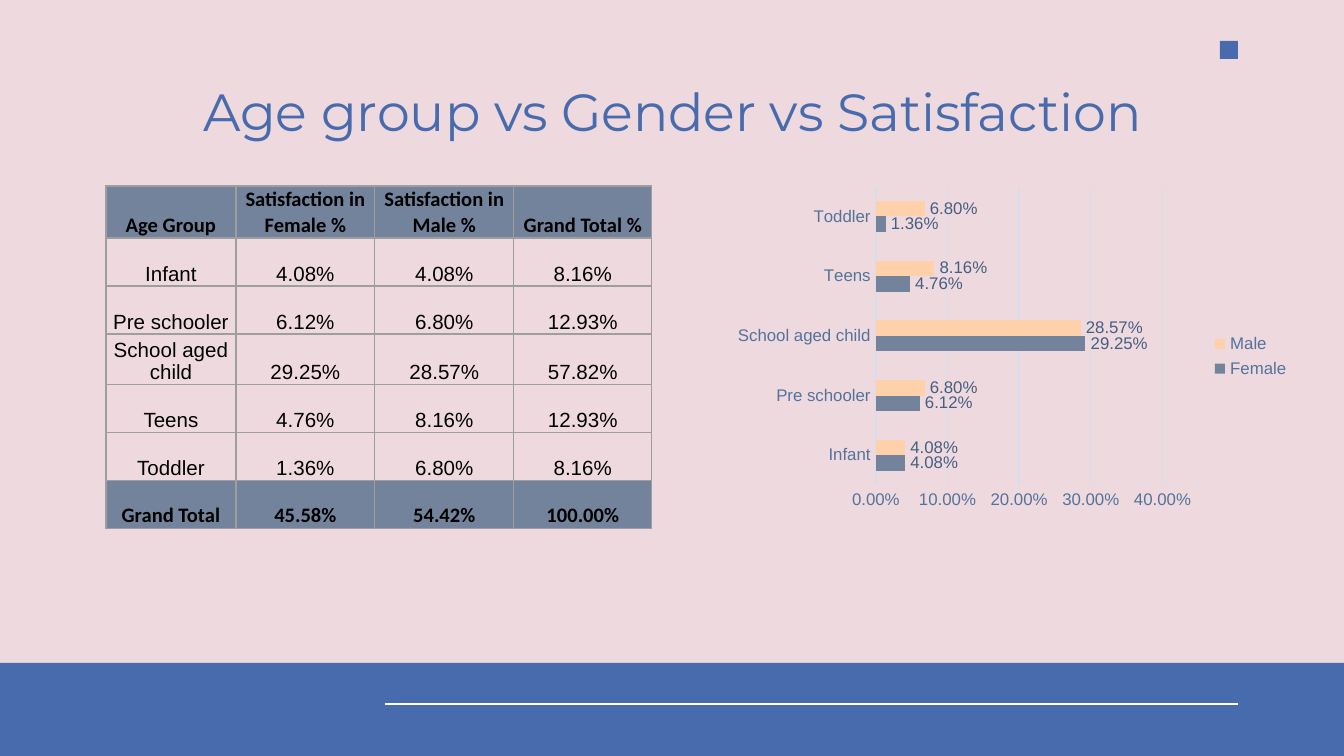
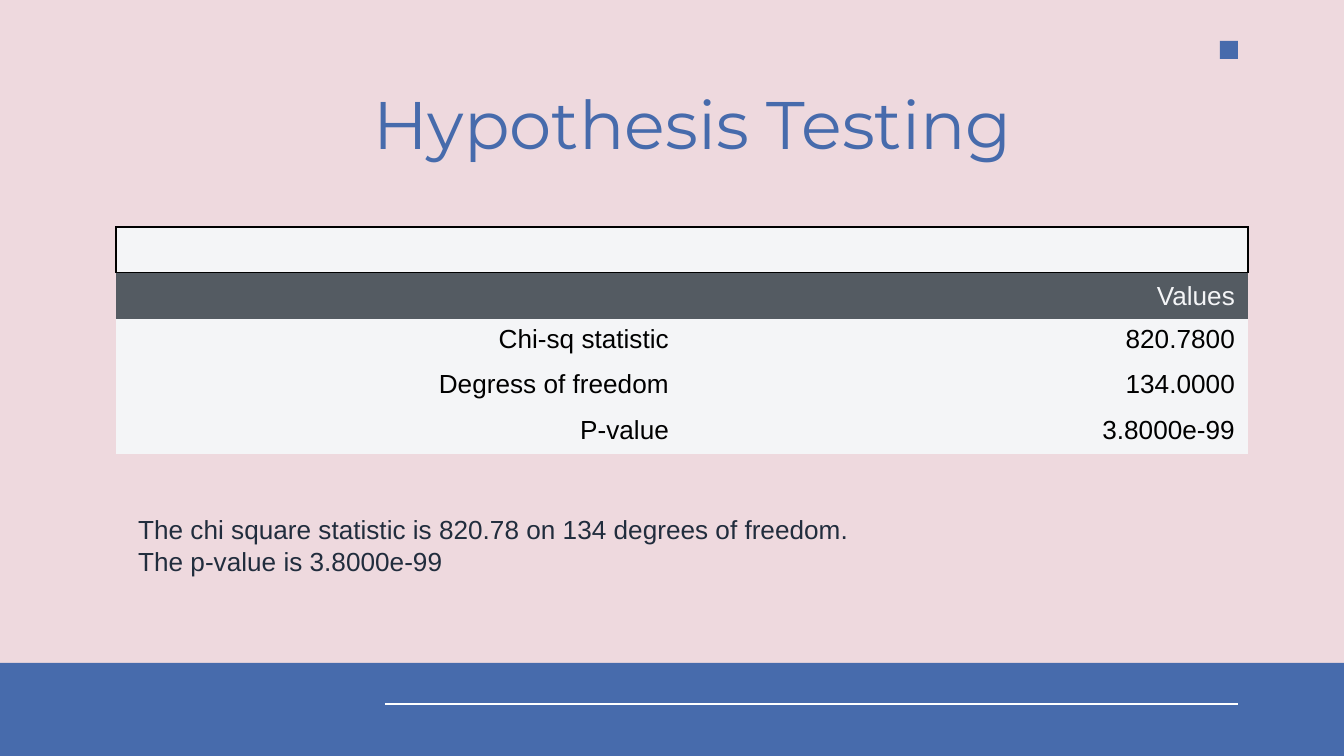
import pptx
import pptx.util
import pptx.chart.data
import pptx.dml.color
import pptx.enum.chart
import pptx.enum.shapes
import pptx.enum.text
import pptx.oxml
import pptx.oxml.ns
from lxml import etree

PX = 914400 / 134.4
COLORS = {
    "background": "EED9DE", "brand": "476BAC", "white": "FFFFFF", "black": "000000",
    "slate": "72839B", "peach": "FFD1AB", "cell_line": "9E9E9E", "grid": "D7DEE9",
    "axis": "54739B", "label": "465F80", "ink": "212D3D", "dark": "545B62", "pale": "F4F5F7",
}
COLOR = {name: pptx.dml.color.RGBColor.from_string(value) for name, value in COLORS.items()}
PLAIN_TABLE = "{2D5ABB26-0587-4C30-8999-92F81FD0307C}"
ALIGN = pptx.enum.text.PP_ALIGN
ANCHOR = pptx.enum.text.MSO_ANCHOR
RECTANGLE = pptx.enum.shapes.MSO_SHAPE.RECTANGLE
STRAIGHT = pptx.enum.shapes.MSO_CONNECTOR.STRAIGHT
NAMESPACE = pptx.oxml.ns.nsdecls("a")


def px(*lengths):
    return [round(length * PX) for length in lengths]


def write(paragraph, text, font, size, color, align=ALIGN.LEFT, bold=False):
    """Put text in a paragraph and set its font and alignment."""
    paragraph.text = text
    paragraph.alignment = align
    paragraph.font.name = font
    paragraph.font.size = pptx.util.Pt(size)
    paragraph.font.bold = bold
    paragraph.font.color.rgb = COLOR[color]
    if not text:
        paragraph._p.get_or_add_endParaRPr().set("sz", str(size * 100))


presentation = pptx.Presentation()
presentation.slide_width, presentation.slide_height = px(1344, 756)

# Shared background, bands and titles
slides = []
for title, size, box in [
    ("Age group vs Gender vs Satisfaction", 28, (106, 66, 1133, 84)),
    ("Hypothesis Testing", 36, (231, 69, 923, 103)),
]:
    slide = presentation.slides.add_slide(presentation.slide_layouts[6])
    slides.append(slide)
    slide.background.fill.solid()
    slide.background.fill.fore_color.rgb = COLOR["background"]
    for band in [(1220, 41, 18, 18), (0, 663, 1344, 93)]:
        shape = slide.shapes.add_shape(RECTANGLE, *px(*band))
        shape.shadow.inherit = False
        shape.fill.solid()
        shape.fill.fore_color.rgb = COLOR["brand"]
        shape.line.fill.background()
    footer_line = slide.shapes.add_connector(STRAIGHT, *px(385, 704, 1238, 704))
    footer_line.line.color.rgb = COLOR["white"]
    footer_line.line.width = pptx.util.Pt(0.75)
    etree.SubElement(footer_line._element.spPr, pptx.oxml.ns.qn("a:effectLst"))

    text_frame = slide.shapes.add_textbox(*px(*box)).text_frame
    text_frame.word_wrap = True
    text_frame.margin_left, text_frame.margin_right = px(13, 13)
    text_frame.margin_top, text_frame.margin_bottom = px(13, 13)
    write(text_frame.paragraphs[0], title, "Montserrat", size, "brand", ALIGN.CENTER)

satisfaction_slide, hypothesis_slide = slides

# Tables: a cell style is font, bold, text colour, fill, anchor and borders (side, colour, points)
grid = [(side, "cell_line", 0.75) for side in "LRTB"]
total_style = ("Calibri", True, "black", "slate", ANCHOR.BOTTOM, grid)
age_style = ("Arial", False, "black", None, ANCHOR.BOTTOM, grid)
frame = [("L", "black", 1), ("R", "black", 1), ("T", "black", 0.75), ("B", "black", 0.75)]
blank_style = ("Arial", False, "black", "pale", ANCHOR.TOP, frame)
header_style = ("Arial", False, "pale", "dark", ANCHOR.BOTTOM, [("B", "dark", 1.2)])
value_style = ("Arial", False, "black", "pale", ANCHOR.TOP, [])

satisfaction_rows = [
    ["Age Group", "Satisfaction in Female %", "Satisfaction in Male %", "Grand Total %"],
    ["Infant", "4.08%", "4.08%", "8.16%"],
    ["Pre schooler", "6.12%", "6.80%", "12.93%"],
    ["School aged child", "29.25%", "28.57%", "57.82%"],
    ["Teens", "4.76%", "8.16%", "12.93%"],
    ["Toddler", "1.36%", "6.80%", "8.16%"],
    ["Grand Total", "45.58%", "54.42%", "100.00%"],
]
hypothesis_rows = [
    ["", ""],
    ["", "Values"],
    ["Chi-sq statistic", "820.7800"],
    ["Degress of freedom", "134.0000"],
    ["P-value", "3.8000e-99"],
]
tables = [
    (satisfaction_slide, (106, 186), [130, 139, 139, 138], [52] + [48] * 6, satisfaction_rows,
     [total_style] + [age_style] * 5 + [total_style], 11, ALIGN.CENTER, (1, 1, 1, 0)),
    (hypothesis_slide, (116, 227), [566] * 2, [45] * 5, hypothesis_rows,
     [blank_style, header_style] + [value_style] * 3, 14, ALIGN.RIGHT, (13, 7, 13, 7)),
]
for slide, corner, widths, heights, rows, styles, size, align, margins in tables:
    graphic = slide.shapes.add_table(len(rows), len(widths),
                                     *px(*corner, sum(widths), sum(heights)))
    table = graphic.table
    table.first_row = table.horz_banding = False
    table._tbl.tblPr.find(pptx.oxml.ns.qn("a:tableStyleId")).text = PLAIN_TABLE
    for column, width in zip(table.columns, px(*widths)):
        column.width = width
    for row, height in zip(table.rows, px(*heights)):
        row.height = height
    for row, texts, style in zip(table.rows, rows, styles):
        font, bold, color, fill, anchor, borders = style
        for cell, text in zip(row.cells, texts):
            write(cell.text_frame.paragraphs[0], text, font, size, color, align, bold)
            cell.vertical_anchor = anchor
            (cell.margin_left, cell.margin_top,
             cell.margin_right, cell.margin_bottom) = px(*margins)
            for side, line_color, points in borders:
                cell._tc.get_or_add_tcPr().append(pptx.oxml.parse_xml(
                    f'<a:ln{side} {NAMESPACE} w="{round(points * 12700)}"><a:solidFill>'
                    f'<a:srgbClr val="{COLORS[line_color]}"/></a:solidFill></a:ln{side}>'))
            if fill:
                cell.fill.solid()
                cell.fill.fore_color.rgb = COLOR[fill]
            else:
                cell.fill.background()
    if rows is hypothesis_rows:
        table.cell(0, 0).merge(table.cell(0, 1))

# Satisfaction chart
chart_data = pptx.chart.data.CategoryChartData(number_format="0.00%")
chart_data.categories = ["Infant", "Pre schooler", "School aged child", "Teens", "Toddler"]
chart_data.add_series("Female", [0.0408, 0.0612, 0.2925, 0.0476, 0.0136])
chart_data.add_series("Male", [0.0408, 0.068, 0.2857, 0.0816, 0.068])
chart = satisfaction_slide.shapes.add_chart(
    pptx.enum.chart.XL_CHART_TYPE.BAR_CLUSTERED, *px(718, 186, 585, 340), chart_data).chart
chart.has_title = False
chart.has_legend = True
chart.legend.position = pptx.enum.chart.XL_LEGEND_POSITION.RIGHT
chart.legend.include_in_layout = False

plot = chart.plots[0]
plot.gap_width = 182
plot.overlap = 0
plot.vary_by_categories = False
plot.has_data_labels = True
labels = plot.data_labels
labels.show_value = True
labels.position = pptx.enum.chart.XL_LABEL_POSITION.OUTSIDE_END
labels.number_format = "0.00%"
labels.number_format_is_linked = False
for series, color in zip(plot.series, ["slate", "peach"]):
    series.format.fill.solid()
    series.format.fill.fore_color.rgb = COLOR[color]

category_axis, value_axis = chart.category_axis, chart.value_axis
for axis in (category_axis, value_axis):
    axis.major_tick_mark = axis.minor_tick_mark = pptx.enum.chart.XL_TICK_MARK.NONE
value_axis.minimum_scale, value_axis.maximum_scale, value_axis.major_unit = 0, 0.4, 0.1
value_axis.tick_labels.number_format = "0.00%"
value_axis.tick_labels.number_format_is_linked = False
value_axis.format.line.fill.background()
for line in (category_axis.format.line, value_axis.major_gridlines.format.line):
    line.color.rgb = COLOR["grid"]
    line.width = pptx.util.Pt(0.75)
for font, size, color in [
    (chart.font, 10, "ink"),
    (chart.legend.font, 9, "axis"),
    (category_axis.tick_labels.font, 9, "axis"),
    (value_axis.tick_labels.font, 9, "axis"),
    (labels.font, 9, "label"),
]:
    font.name = "Arial"
    font.size = pptx.util.Pt(size)
    font.color.rgb = COLOR[color]

plot_area = chart._chartSpace.chart.plotArea
for old_layout in plot_area.findall(pptx.oxml.ns.qn("c:layout")):
    plot_area.remove(old_layout)
plot_area.insert(0, pptx.oxml.parse_xml(
    f'<c:layout {pptx.oxml.ns.nsdecls("c")}><c:manualLayout><c:layoutTarget val="inner"/>'
    '<c:xMode val="edge"/><c:yMode val="edge"/><c:x val="0.27"/><c:y val="0"/>'
    '<c:w val="0.49"/><c:h val="0.88"/></c:manualLayout></c:layout>'))

# Hypothesis conclusion
text_frame = hypothesis_slide.shapes.add_textbox(*px(125, 507, 1113, 77)).text_frame
text_frame.word_wrap = True
write(text_frame.paragraphs[0],
      "The chi square statistic is 820.78 on 134 degrees of freedom.\n"
      "The p-value is 3.8000e-99", "Arial", 14, "ink")

presentation.save("out.pptx")
